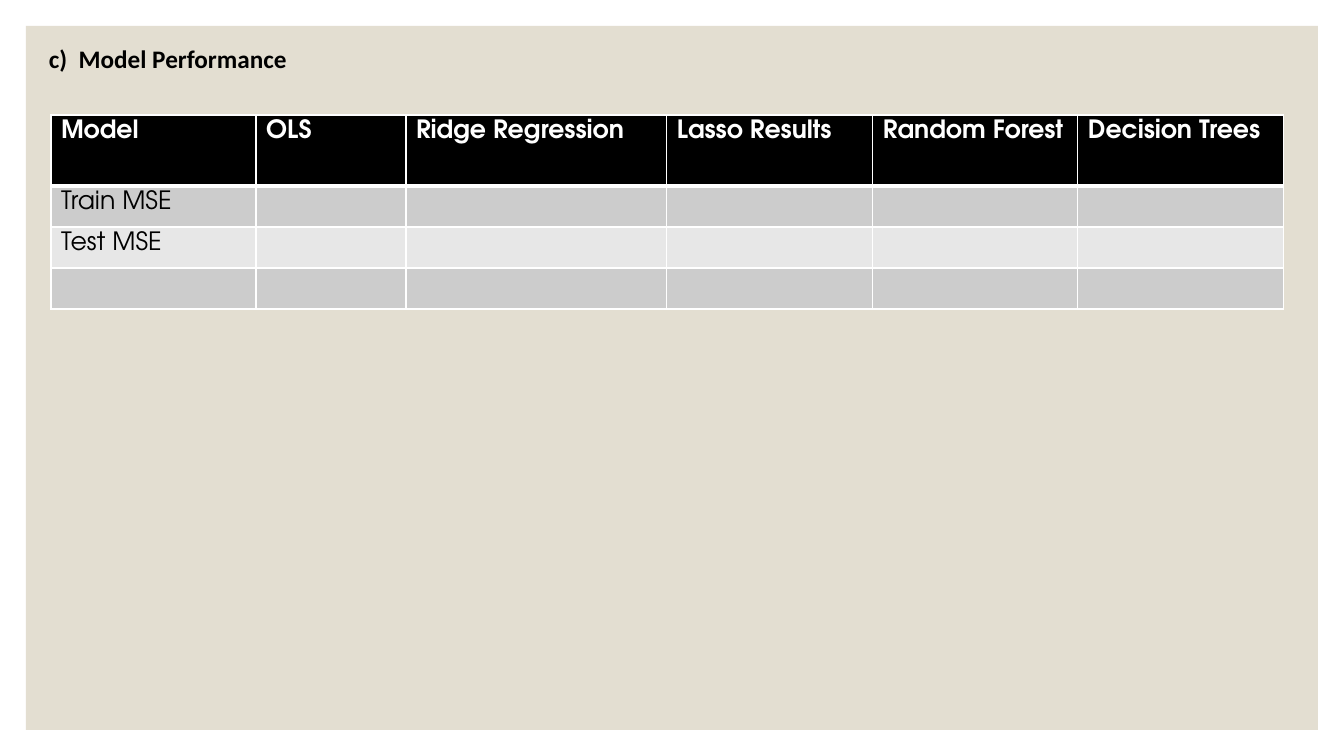
import dataclasses

import lxml.etree
import pptx
import pptx.dml.color
import pptx.enum.shapes
import pptx.oxml.ns
import pptx.util


@dataclasses.dataclass(frozen=True)
class Theme:
    panel: str = "E3DED1"
    ink: str = "000000"
    paper: str = "FFFFFF"
    bands: tuple = ("CCCCCC", "E7E7E7")
    heading_font: str = "Calibri"
    table_font: str = "TeX Gyre Adventor"
    text_size: int = 18
    rule: int = 1
    header_rule: int = 3


class SlideBuilder:
    emu_per_pixel = 914400 / 100.8

    def __init__(self, theme, width, height):
        self.theme = theme
        self.deck = pptx.Presentation()
        self.deck.slide_width, self.deck.slide_height = self.lengths(width, height)
        self.slide = self.deck.slides.add_slide(self.deck.slide_layouts[6])

    def lengths(self, *pixels):
        return [pptx.util.Emu(round(p * self.emu_per_pixel)) for p in pixels]

    def paint(self, fill, color):
        fill.solid()
        fill.fore_color.rgb = pptx.dml.color.RGBColor.from_string(color)

    def add_words(self, frame, text, font, color, bold):
        run = frame.paragraphs[0].add_run()
        run.text = text
        formats = {"name": font, "size": pptx.util.Pt(self.theme.text_size), "bold": bold}
        for key, value in formats.items():
            setattr(run.font, key, value)
        run.font.color.rgb = pptx.dml.color.RGBColor.from_string(color)

    def panel(self, *box):
        panel = self.slide.shapes.add_shape(
            pptx.enum.shapes.MSO_SHAPE.RECTANGLE, *self.lengths(*box))
        panel.shadow.inherit = False
        self.paint(panel.fill, self.theme.panel)
        panel.line.fill.background()

    def heading(self, text, *box):
        frame = self.slide.shapes.add_textbox(*self.lengths(*box)).text_frame
        frame.word_wrap = True
        self.add_words(frame, text, self.theme.heading_font, self.theme.ink, True)

    def border(self, cell, side, points):
        tag = pptx.oxml.ns.qn
        line = lxml.etree.SubElement(
            cell._tc.get_or_add_tcPr(), tag(f"a:ln{side}"), w=str(pptx.util.Pt(points)))
        fill = lxml.etree.SubElement(line, tag("a:solidFill"))
        lxml.etree.SubElement(fill, tag("a:srgbClr"), val=self.theme.paper)

    def table(self, left, top, widths, heights, rows):
        theme = self.theme
        table = self.slide.shapes.add_table(
            len(heights), len(widths),
            *self.lengths(left, top, sum(widths), sum(heights))).table
        for column, width in zip(table.columns, self.lengths(*widths)):
            column.width = width
        for row, height in zip(table.rows, self.lengths(*heights)):
            row.height = height
        for r, texts in enumerate(rows):
            header = r == 0
            fill = theme.ink if header else theme.bands[(r - 1) % 2]
            color = theme.paper if header else theme.ink
            rules = {"L": theme.rule, "R": theme.rule,
                     "T": theme.header_rule if r == 1 else theme.rule,
                     "B": theme.header_rule if header else theme.rule}
            for c in range(len(widths)):
                cell = table.cell(r, c)
                for side, points in rules.items():
                    self.border(cell, side, points)
                self.paint(cell.fill, fill)
                if c < len(texts):
                    self.add_words(cell.text_frame, texts[c], theme.table_font, color, header)


performance = SlideBuilder(Theme(), 1344, 756)
performance.panel(26, 26, 1292, 704)
performance.heading("c)  Model Performance", 39, 38, 1271, 346)

models = ["Model", "OLS", "Ridge Regression", "Lasso Results", "Random Forest", "Decision Trees"]
column_widths = [205, 150, 261, 206, 205, 206]
row_heights = [71, 41, 41, 41]
performance.table(51, 115, column_widths, row_heights,
                  [models, ["Train MSE"], ["Test MSE"], []])

performance.deck.save("out.pptx")
